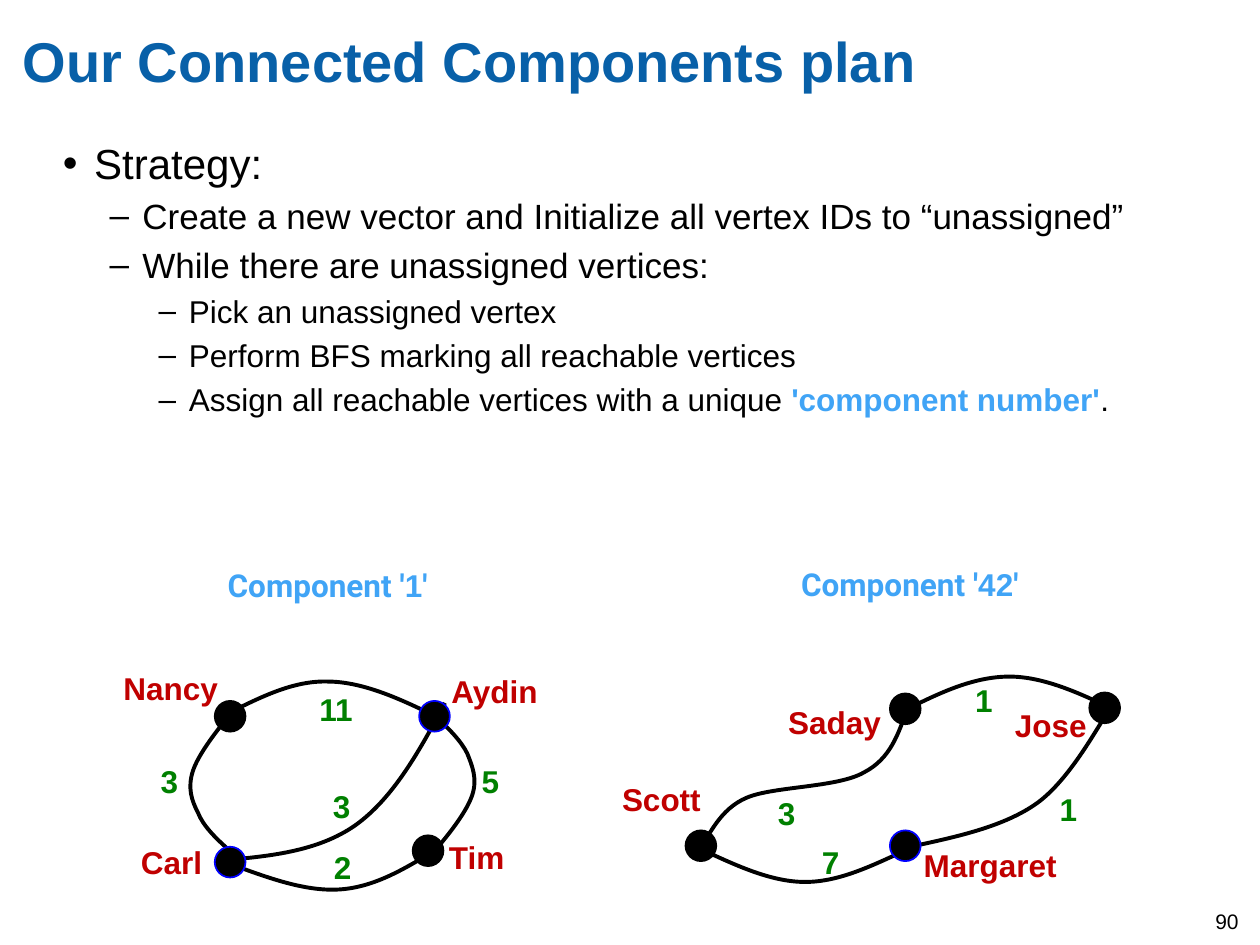
from lxml.etree import SubElement
from pptx import Presentation
from pptx.dml.color import RGBColor
from pptx.enum.shapes import MSO_SHAPE as Shape
from pptx.enum.text import MSO_ANCHOR as Anchor, MSO_AUTO_SIZE as AutoSize, PP_ALIGN as Align
from pptx.oxml.ns import qn
from pptx.util import Cm, Pt

BLACK, BLUE, TITLE_BLUE = "000000", "0000FF", "0860A8"
RED, GREEN, SKY = "C00000", "008000", "40A4F6"
DOT_SIZE = 0.62
LABEL_HEIGHT = 1.02

# level: (size, left margin, hanging indent, bullet)
LEVELS = [(24, 0.63, 0.63, "•"), (20, 1.6, 0.66, "–"), (18, 2.54, 0.61, "–")]
STRATEGY = [
    (0, [("Strategy:", BLACK)]),
    (1, [("Create a new vector and Initialize all vertex IDs to “unassigned”", BLACK)]),
    (1, [("While there are unassigned vertices:", BLACK)]),
    (2, [("Pick an unassigned vertex", BLACK)]),
    (2, [("Perform BFS marking all reachable vertices", BLACK)]),
    (2, [("Assign all reachable vertices with a unique ", BLACK),
         ("'component number'", SKY), (".", BLACK)]),
]

# vertices: name, dot centre, dot outline, label left, top, width
# edges: weight, label left, top, width, Bezier points (start, then threes)
COMPONENTS = [
    {"number": "1", "label": (4.34, 11.28, 5.11),
     "vertices": [
         ("Nancy", (4.64, 14.44), BLACK, (2.24, 13.36, 2.44)),
         ("Aydin", (8.76, 14.44), BLUE, (8.85, 13.42, 2.26)),
         ("Carl", (4.64, 17.38), BLUE, (2.59, 16.87, 1.75)),
         ("Tim", (8.63, 17.15), BLACK, (8.8, 16.76, 1.65))],
     "edges": [
         ("3", (2.99, 15.24, 0.86),
          [(4.6, 17.12), (4.34, 16.89), (4.09, 16.64), (3.99, 16.38), (3.86, 16.13),
           (3.78, 15.88), (3.89, 15.54), (3.99, 15.24), (4.29, 14.83), (4.6, 14.45)]),
         ("11", (6.19, 13.79, 1.19),
          [(4.6, 14.38), (5.26, 14.05), (5.92, 13.72), (6.6, 13.74),
           (7.29, 13.74), (8.03, 14.07), (8.76, 14.43)]),
         ("2", (6.48, 16.97, 0.86),
          [(8.81, 17.12), (8.18, 17.5), (7.57, 17.88), (6.86, 17.93),
           (6.17, 17.98), (5.41, 17.7), (4.65, 17.42)]),
         ("5", (9.46, 15.24, 0.86),
          [(8.79, 14.45), (9.04, 14.68), (9.3, 14.94), (9.42, 15.19), (9.52, 15.44),
           (9.63, 15.7), (9.52, 16.03), (9.42, 16.33), (9.12, 16.74), (8.79, 17.12)]),
         ("3", (6.46, 15.75, 0.86),
          [(4.39, 17.35), (5.41, 17.27), (6.4, 17.17), (7.16, 16.64),
           (7.92, 16.1), (8.46, 15.14), (8.97, 14.17)])]},
    {"number": "42", "label": (15.9, 11.27, 5.46),
     "vertices": [
         ("Saday", (18.25, 14.29), BLACK, (15.64, 14.05, 2.41)),
         ("Jose", (22.27, 14.27), BLACK, (20.21, 14.1, 1.98)),
         ("Scott", (14.13, 17.05), BLACK, (12.29, 15.6, 2.11)),
         ("Margaret", (18.25, 17.05), BLUE, (18.37, 16.93, 3.23))],
     "edges": [
         ("3", (15.43, 15.88, 0.86),
          [(14.15, 17.02), (14.3, 16.87), (14.5, 16.31), (15.06, 16.08), (15.6, 15.85),
           (16.89, 15.88), (17.42, 15.57), (17.96, 15.29), (18.11, 14.78), (18.29, 14.3)]),
         ("1", (19.41, 13.6, 0.86),
          [(18.34, 14.27), (19, 13.94), (19.66, 13.64), (20.35, 13.64),
           (21.03, 13.64), (21.77, 13.97), (22.5, 14.33)]),
         ("7", (16.32, 16.87, 0.86),
          [(18.24, 17.15), (17.58, 17.45), (16.92, 17.78), (16.23, 17.78),
           (15.52, 17.78), (14.78, 17.42), (14.07, 17.09)]),
         ("1", (21.11, 15.8, 0.86),
          [(22.35, 14.33), (22.12, 14.66), (21.54, 15.77), (20.85, 16.23),
           (20.17, 16.69), (19.2, 16.89), (18.26, 17.09)])]},
]


def color(hex_string):
    return RGBColor.from_string(hex_string)


def bend_lines(shape):
    """Turn each three line segments of a freeform into one cubic Bezier segment."""
    lines = list(shape._element.iter(qn("a:lnTo")))
    for first in range(0, len(lines), 3):
        outline = lines[first].getparent()
        segment = SubElement(outline, qn("a:cubicBezTo"))
        for line in lines[first:first + 3]:
            segment.append(line[0])
            outline.remove(line)


class SlideBuilder:
    """Holds the text style and the slide being filled."""

    def __init__(self, slide, font="Arial"):
        self.slide = slide
        self.font = font

    def format_run(self, run, size, hex_color, bold=False, font=None):
        run.font.name = font or self.font
        run.font.size = Pt(size)
        run.font.bold = bold
        run.font.color.rgb = color(hex_color)

    def remove_margins(self, frame):
        frame.margin_left = frame.margin_right = frame.margin_top = frame.margin_bottom = 0
        frame.vertical_anchor = Anchor.TOP
        frame.word_wrap = True

    def title(self, text, left, top, width, height):
        shape = self.slide.shapes.title
        shape.left, shape.top, shape.width, shape.height = map(Cm, (left, top, width, height))
        frame = shape.text_frame
        self.remove_margins(frame)
        frame.auto_size = AutoSize.NONE
        frame.text = text
        paragraph = frame.paragraphs[0]
        paragraph.alignment = Align.LEFT
        self.format_run(paragraph.runs[0], 32, TITLE_BLUE, bold=True)

    def bullets(self, items, left, top, width, height):
        frame = self.slide.shapes.add_textbox(*map(Cm, (left, top, width, height))).text_frame
        self.remove_margins(frame)
        for index, (level, parts) in enumerate(items):
            paragraph = frame.add_paragraph() if index else frame.paragraphs[0]
            size, margin, hanging, bullet = LEVELS[level]
            paragraph.level = level
            paragraph.space_before = Pt(size / 5)
            properties = paragraph._p.get_or_add_pPr()
            properties.set("marL", str(Cm(margin)))
            properties.set("indent", str(-Cm(hanging)))
            SubElement(properties, qn("a:buFont"), typeface=self.font)
            SubElement(properties, qn("a:buChar"), char=bullet)
            for text, hex_color in parts:
                run = paragraph.add_run()
                run.text = text
                self.format_run(run, size, hex_color, bold=hex_color == SKY)

    def label(self, shapes, parts, place, hex_color, size=18, bold=True, height=LABEL_HEIGHT):
        """Add a one-line label; parts are (text, font) pairs."""
        left, top, width = place
        frame = shapes.add_textbox(Cm(left), Cm(top), Cm(width), Cm(height)).text_frame
        frame.word_wrap = False
        frame.auto_size = AutoSize.SHAPE_TO_FIT_TEXT
        for text, font in parts:
            run = frame.paragraphs[0].add_run()
            run.text = text
            self.format_run(run, size, hex_color, bold, font)

    def curve(self, shapes, points):
        start, *rest = [(Cm(x), Cm(y)) for x, y in points]
        builder = shapes.build_freeform(*start)
        builder.add_line_segments(rest, close=False)
        shape = builder.convert_to_shape()
        bend_lines(shape)
        shape.shadow.inherit = False
        shape.fill.background()
        shape.line.color.rgb = color(BLACK)
        shape.line.width = Pt(2.25)

    def dot(self, shapes, center, outline):
        left, top = (Cm(value - DOT_SIZE / 2) for value in center)
        shape = shapes.add_shape(Shape.OVAL, left, top, Cm(DOT_SIZE), Cm(DOT_SIZE))
        shape.shadow.inherit = False
        shape.fill.solid()
        shape.fill.fore_color.rgb = color(BLACK)
        shape.line.color.rgb = color(outline)
        shape.line.width = Pt(1)

    def component(self, number, label, vertices, edges):
        shapes = self.slide.shapes.add_group_shape().shapes
        for _, _, points in edges:
            self.curve(shapes, points)
        for name, center, outline, place in vertices:
            self.dot(shapes, center, outline)
            self.label(shapes, [(name, None)], place, RED)
        for weight, place, _ in edges:
            self.label(shapes, [(weight, None)], place, GREEN)
        heading = [("Component '", "Roboto"), (number, None), ("'", "Roboto")]
        self.label(self.slide.shapes, heading, label, SKY)


def main():
    presentation = Presentation()
    presentation.slide_width, presentation.slide_height = Cm(25.4), Cm(19.05)
    slide = presentation.slides.add_slide(presentation.slide_layouts[5])
    builder = SlideBuilder(slide)
    builder.title("Our Connected Components plan", 0.46, 0.53, 22.89, 2.46)
    builder.bullets(STRATEGY, 1.27, 2.77, 22.89, 6.53)
    builder.label(slide.shapes, [("90", None)], (24.25, 18.19, 1.14), BLACK,
                  size=12, bold=False, height=0.84)
    for component in COMPONENTS:
        builder.component(**component)
    presentation.save("out.pptx")


if __name__ == "__main__":
    main()
